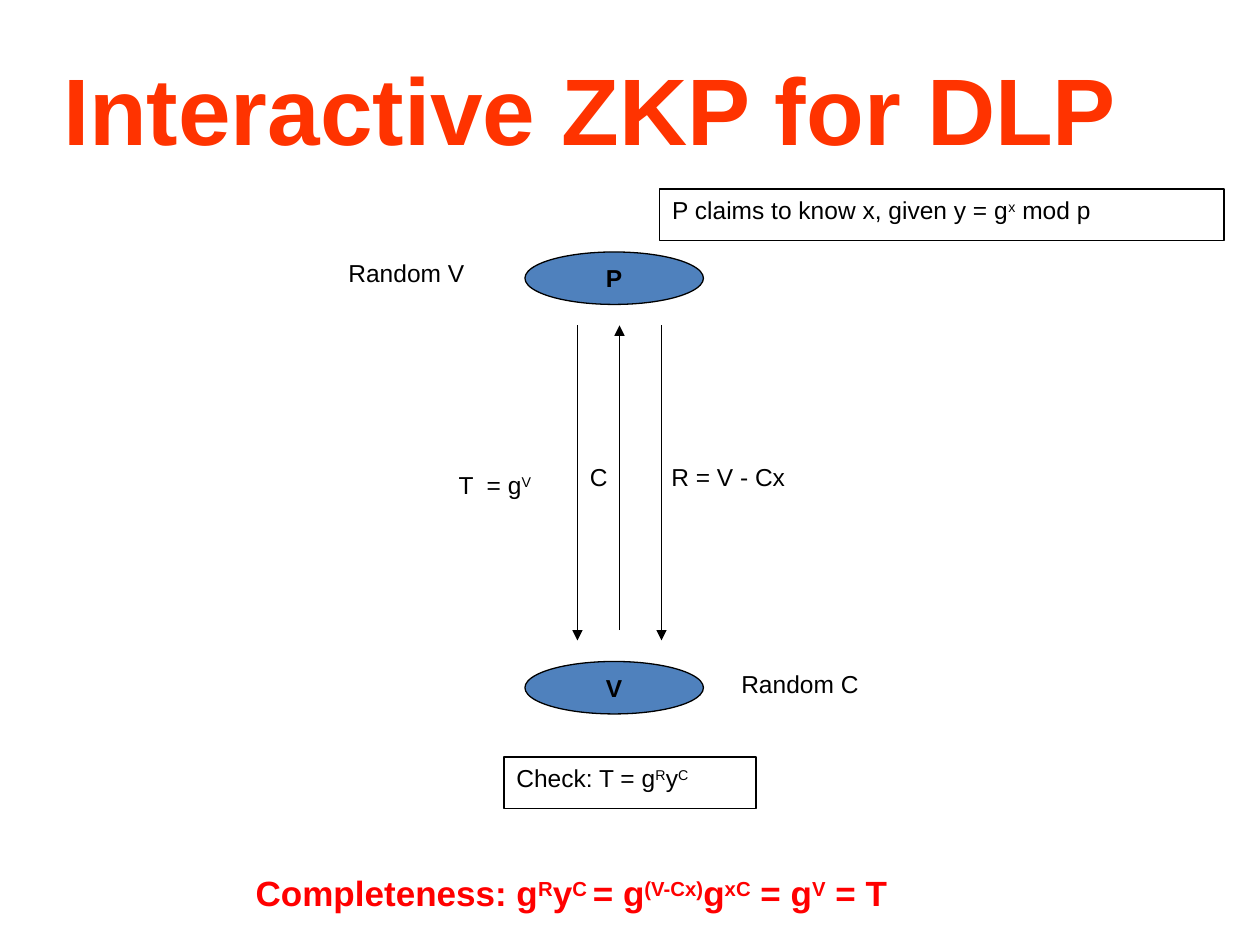
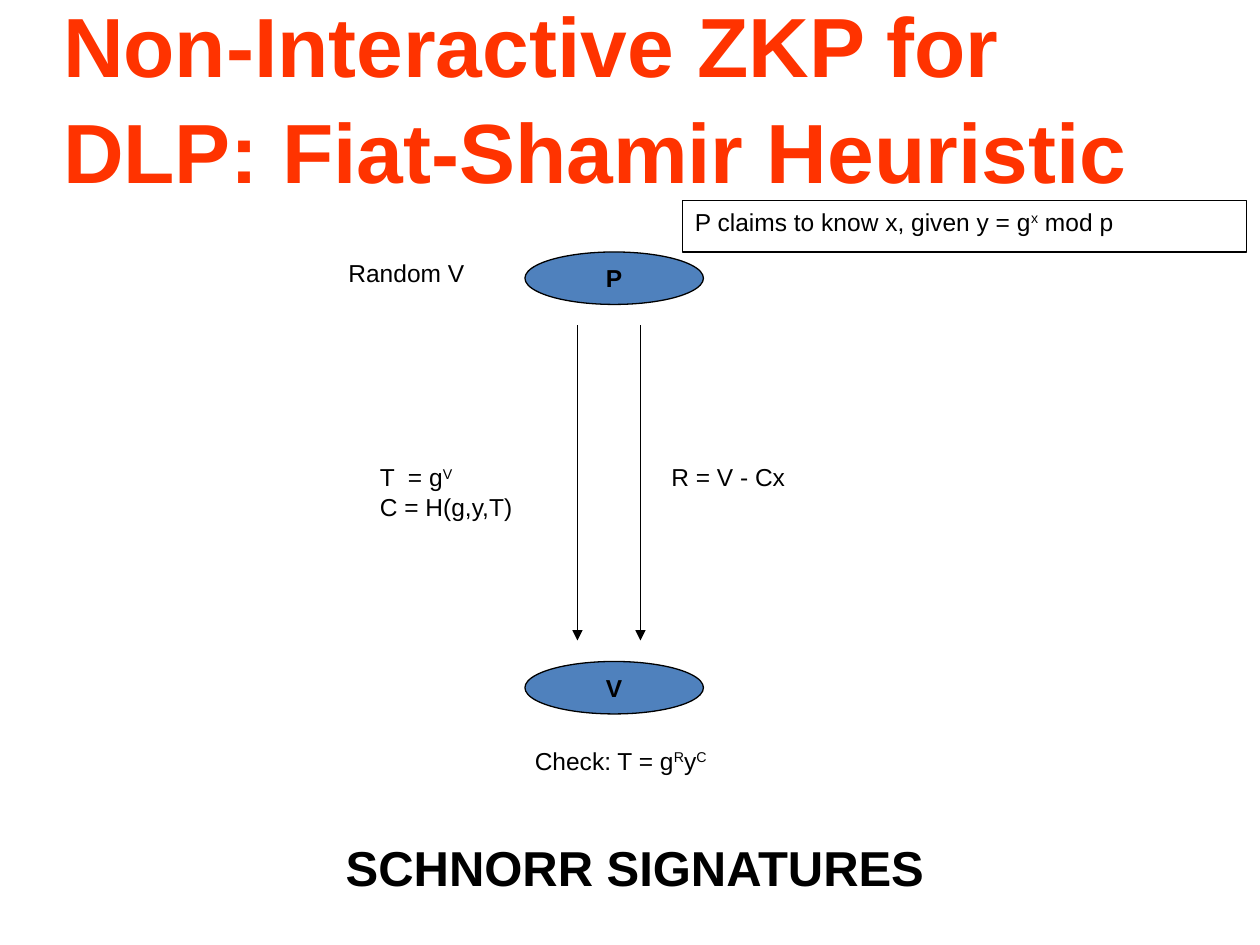
from lxml import etree
from pptx import Presentation
from pptx.dml.color import RGBColor
from pptx.enum import shapes, text
from pptx.oxml.ns import qn
from pptx.util import Pt

FONT = "Arial"
BLACK = RGBColor(0, 0, 0)
RED = RGBColor(0xFF, 0, 0)
ORANGE = RGBColor(0xFF, 0x33, 0)
BLUE = RGBColor(0x4F, 0x81, 0xBD)
BODY_SIZE = 14

# Content: text between carets is superscript; positions are in points
CLAIM = "P claims to know x, given y = g^x^ mod p"
CHECK = "Check: T = g^R^y^C^"
PARTIES = [("P", 144), ("V", 378)]
SHARED_LABELS = [
    ("Random V", 192, 144, 100),
    ("R = V - Cx", 376.5, 260.5, 98),
]
PROTOCOLS = [
    {
        "title": ("Interactive ZKP for DLP", 15, 54),
        "arrows": [(330, 186, 366), (354, 360, 186), (378, 186, 366)],
        "labels": [
            ("T  = g^V^", 255, 265, 69),
            ("C", 330, 260.5, 27),
            ("Random C", 416.5, 379, 101),
        ],
        "boxes": [(CHECK, 288, 432.5, 144), (CLAIM, 377, 108, 322.5)],
        "conclusion": ("Completeness: g^R^y^C ^= g^(V-Cx)^g^xC^ = g^V^ = T",
                       139, 494.5, 411, 20, RED),
    },
    {
        "title": ("Non-Interactive ZKP for DLP: Fiat-Shamir Heuristic", 9, 48),
        "arrows": [(330, 186, 366), (366, 186, 366)],
        "labels": [
            ("T  = g^V^\nC = H(g,y,T)", 210, 260.5, 113),
            (CHECK, 298.5, 422.5, 143),
        ],
        "boxes": [(CLAIM, 390, 114.5, 322.5)],
        "conclusion": ("SCHNORR SIGNATURES", 190.5, 475, 360, 28, BLACK),
    },
]


def style_font(paragraph, size, color, bold=False):
    paragraph.font.name = FONT
    paragraph.font.size = Pt(size)
    paragraph.font.color.rgb = color
    paragraph.font.bold = bold


def style_line(shape):
    shape.line.color.rgb = BLACK
    shape.line.width = Pt(0.75)


def add_title(slide, wording, top, size):
    title = slide.shapes.title
    title.left, title.top, title.width, title.height = Pt(36), Pt(top), Pt(648), Pt(90)
    frame = title.text_frame
    frame.text = wording
    frame.word_wrap = True
    frame.auto_size = text.MSO_AUTO_SIZE.NONE
    frame.vertical_anchor = text.MSO_ANCHOR.MIDDLE
    frame.margin_left = frame.margin_top = frame.margin_right = frame.margin_bottom = 0
    paragraph = frame.paragraphs[0]
    paragraph.alignment = text.PP_ALIGN.LEFT
    paragraph.line_spacing = 1.05
    style_font(paragraph, size, ORANGE, bold=True)


def add_formula(slide, wording, left, top, width, size=BODY_SIZE, color=BLACK,
                bold=False):
    """Add a text box whose caret-enclosed parts are raised."""
    box = slide.shapes.add_textbox(Pt(left), Pt(top), Pt(width), Pt(29.5))
    frame = box.text_frame
    frame.word_wrap = True
    for number, line in enumerate(wording.split("\n")):
        paragraph = frame.add_paragraph() if number else frame.paragraphs[0]
        style_font(paragraph, size, color, bold)
        for index, part in enumerate(line.split("^")):
            if part:
                run = paragraph.add_run()
                run.text = part
                if index % 2:
                    run.font._element.set("baseline", "30000")
    return box


def add_party(slide, name, top):
    party = slide.shapes.add_shape(shapes.MSO_SHAPE.OVAL,
                                   Pt(300), Pt(top), Pt(102), Pt(30))
    party.shadow.inherit = False
    party.fill.solid()
    party.fill.fore_color.rgb = BLUE
    style_line(party)
    frame = party.text_frame
    frame.text = name
    frame.vertical_anchor = text.MSO_ANCHOR.MIDDLE
    frame.paragraphs[0].alignment = text.PP_ALIGN.CENTER
    style_font(frame.paragraphs[0], BODY_SIZE, BLACK, bold=True)


def add_message_arrow(slide, x, start, end):
    arrow = slide.shapes.add_connector(shapes.MSO_CONNECTOR.STRAIGHT,
                                       Pt(x), Pt(start), Pt(x), Pt(end))
    style_line(arrow)
    etree.SubElement(arrow.line._get_or_add_ln(), qn("a:tailEnd"), type="triangle")
    etree.SubElement(arrow._element.spPr, qn("a:effectLst"))


def build_slide(presentation, protocol):
    slide = presentation.slides.add_slide(presentation.slide_layouts[5])
    add_title(slide, *protocol["title"])

    # Prover and verifier with the messages between them
    for party in PARTIES:
        add_party(slide, *party)
    for arrow in protocol["arrows"]:
        add_message_arrow(slide, *arrow)
    for label in SHARED_LABELS + protocol["labels"]:
        add_formula(slide, *label)

    # Framed statements and conclusion
    for statement in protocol["boxes"]:
        style_line(add_formula(slide, *statement))
    add_formula(slide, *protocol["conclusion"], bold=True)


def main():
    presentation = Presentation()
    presentation.slide_width, presentation.slide_height = Pt(720), Pt(540)
    for protocol in PROTOCOLS:
        build_slide(presentation, protocol)
    presentation.save("out.pptx")


if __name__ == "__main__":
    main()
